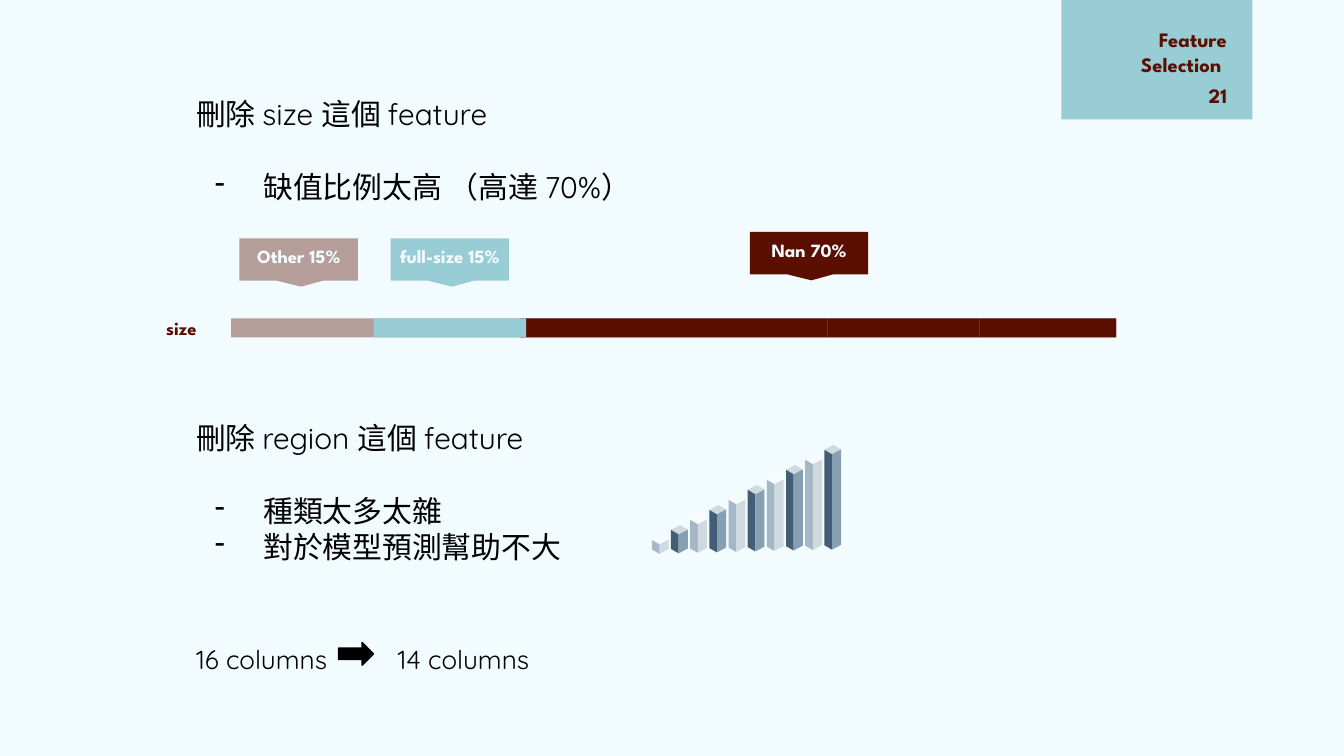
from lxml import etree
from pptx import Presentation
from pptx.dml.color import RGBColor
from pptx.enum.shapes import MSO_SHAPE as SHAPE
from pptx.enum.text import MSO_ANCHOR as ANCHOR, MSO_AUTO_SIZE as AUTO_SIZE, PP_ALIGN as ALIGN
from pptx.oxml.ns import qn
from pptx.util import Pt

COLORS = {
    "background": "F2FCFF", "teal": "99CDD5", "maroon": "5B0F00", "black": "000000",
    "navy": "435D74", "steel": "869FB2", "mist": "CFD9E0",
    "haze": "A5B7C6", "white": "F8FAFB",
}
HEADING_FONT, BODY_FONT = "League Spartan", "Quicksand"
# Left, right and top face of the alternating bars
BAR_FACES = [("haze", "mist", "white"), ("navy", "steel", "mist")]


def paint(shape, color, opacity=None):
    shape.shadow.inherit = False
    shape.line.fill.background()
    shape.fill.solid()
    shape.fill.fore_color.rgb = RGBColor.from_string(COLORS[color])
    if opacity is not None:
        tint = shape.fill._xPr.find(qn("a:solidFill"))[0]
        etree.SubElement(tint, qn("a:alpha"), val=str(opacity * 1000))


def add_block(slide, left, top, width, height, color, opacity=None, kind=SHAPE.RECTANGLE):
    block = slide.shapes.add_shape(kind, Pt(left), Pt(top), Pt(width), Pt(height))
    paint(block, color, opacity)
    return block


def add_polygon(shapes, points, color, opacity=None):
    start, *others = [(Pt(x), Pt(y)) for x, y in points]
    builder = shapes.build_freeform(*start, scale=1.0)
    builder.add_line_segments(others, close=True)
    paint(builder.convert_to_shape(), color, opacity)


def prepare_frame(frame, anchor=ANCHOR.TOP):
    frame.word_wrap = True
    frame.auto_size = AUTO_SIZE.NONE
    frame.vertical_anchor = anchor
    frame.margin_left = frame.margin_right = Pt(7.2)
    frame.margin_top = frame.margin_bottom = Pt(7.2)


def add_frame(slide, left, top, width, height):
    frame = slide.shapes.add_textbox(Pt(left), Pt(top), Pt(width), Pt(height)).text_frame
    prepare_frame(frame)
    return frame


def write(paragraph, text, size, color="black", font=BODY_FONT, bold=False, align=ALIGN.LEFT):
    paragraph.alignment = align
    run = paragraph.add_run()
    run.text = text
    run.font.name, run.font.size, run.font.bold = font, Pt(size), bold
    run.font.color.rgb = RGBColor.from_string(COLORS[color])


def write_heading(paragraph, text, size=11, color="maroon", align=ALIGN.RIGHT):
    write(paragraph, text, size, color, HEADING_FONT, True, align)


def write_feature(frame, statement, reasons):
    """A statement, a gap, then its reasons as dashed items."""
    write(frame.paragraphs[0], statement, 16)
    frame.paragraphs[0].space_after = Pt(20)
    for reason in reasons:
        item = frame.add_paragraph()
        write(item, reason, 16)
        properties = item._p.get_or_add_pPr()
        properties.set("marL", str(Pt(36)))
        properties.set("indent", str(Pt(-26)))
        etree.SubElement(properties, qn("a:buChar"), char="-")


def add_header(slide):
    badge = add_block(slide, 568.6, 0, 102.4, 64, "teal")
    slide.shapes._spTree.insert(2, badge._element)  # behind the title
    title = slide.shapes.title
    title.left, title.top, title.width, title.height = Pt(438.5), Pt(10), Pt(226), Pt(38.3)
    frame = title.text_frame
    prepare_frame(frame, ANCHOR.BOTTOM)
    write_heading(frame.paragraphs[0], "Feature")
    write_heading(frame.add_paragraph(), "Selection ")
    page_number = add_frame(slide, 621.3, 37.4, 43.2, 31)
    write_heading(page_number.paragraphs[0], "21")


def add_share_tag(slide, left, top, label, color, opacity=None):
    """A flag with a pointer below, its label centred on it."""
    width, body, tip = 63.4, 22.7, 25.9
    outline = [(0, 0), (0, body), (20, body), (33, tip), (44.6, body), (width, body), (width, 0)]
    add_polygon(slide.shapes, [(left + x, top + y) for x, y in outline], color, opacity)
    label_width = 81.4
    frame = add_frame(slide, left + (width - label_width) / 2, top - 3.8, label_width, 22.3)
    write_heading(frame.paragraphs[0], label, 10, "background", ALIGN.CENTER)


def add_size_bar(slide):
    top, height = 170.6, 10.2
    add_block(slide, 123.8, top, 474.3, height, "maroon", 40)
    edges = [278.8, 443.4, 524.8, 598]
    for left, right in zip(edges, edges[1:]):
        add_block(slide, left, top, right - left, height, "maroon")
    add_block(slide, 200.2, top, 81.6, height, "teal")
    row_name = add_frame(slide, 49, 162.7, 63.4, 26)
    write_heading(row_name.paragraphs[0], "size", 10)
    add_share_tag(slide, 128.3, 127.7, "Other 15%", "maroon", 40)
    add_share_tag(slide, 209.2, 127.7, "full-size 15%", "teal")
    add_share_tag(slide, 401.7, 124.3, "Nan 70%", "maroon")


def add_rising_bars(slide, count=10):
    bars = slide.shapes.add_group_shape().shapes
    for i in reversed(range(count)):
        x = 349.2 + 10.27 * i
        top, base = 289.3 - 5.37 * i, 294.4 - 0.25 * i
        left, front, right = (x, top), (x + 4.1, top + 2.4), (x + 9, top - 0.2)
        back = (x + 4.9, top - 2.6)
        front_base = (x + 4.1, base + 2.3)
        left_color, right_color, top_color = BAR_FACES[i % 2]
        add_polygon(bars, [back, left, front, right], top_color)
        add_polygon(bars, [left, (x, base), front_base, front], left_color)
        add_polygon(bars, [right, front, front_base, (x + 9, base - 0.3)], right_color)


def add_column_count(frame):
    count = frame.add_paragraph()
    count.space_before, count.line_spacing = Pt(40), 1.15
    write(count, "16 columns\t14 columns", 14)
    stops = etree.SubElement(count._p.get_or_add_pPr(), qn("a:tabLst"))
    etree.SubElement(stops, qn("a:tab"), pos=str(Pt(108)), algn="l")


def main():
    deck = Presentation()
    deck.slide_width, deck.slide_height = Pt(720), Pt(405)
    slide = deck.slides.add_slide(deck.slide_layouts[5])
    slide.background.fill.solid()
    slide.background.fill.fore_color.rgb = RGBColor.from_string(COLORS["background"])

    add_header(slide)
    add_size_bar(slide)
    size_feature = add_frame(slide, 98, 44, 310.3, 40.3)
    write_feature(size_feature, "刪除 size 這個 feature", ["缺值比例太高 （高達 70%）"])
    region_feature = add_frame(slide, 98, 217.4, 310.3, 143.3)
    write_feature(region_feature, "刪除 region 這個 feature", ["種類太多太雜", "對於模型預測幫助不大"])
    add_column_count(region_feature)

    arrow = add_block(slide, 181.4, 344.2, 18.7, 12.2, "black", kind=SHAPE.RIGHT_ARROW)
    arrow.line.color.rgb = RGBColor.from_string(COLORS["black"])
    arrow.line.width = Pt(0.75)
    add_rising_bars(slide)
    deck.save("out.pptx")


if __name__ == "__main__":
    main()
